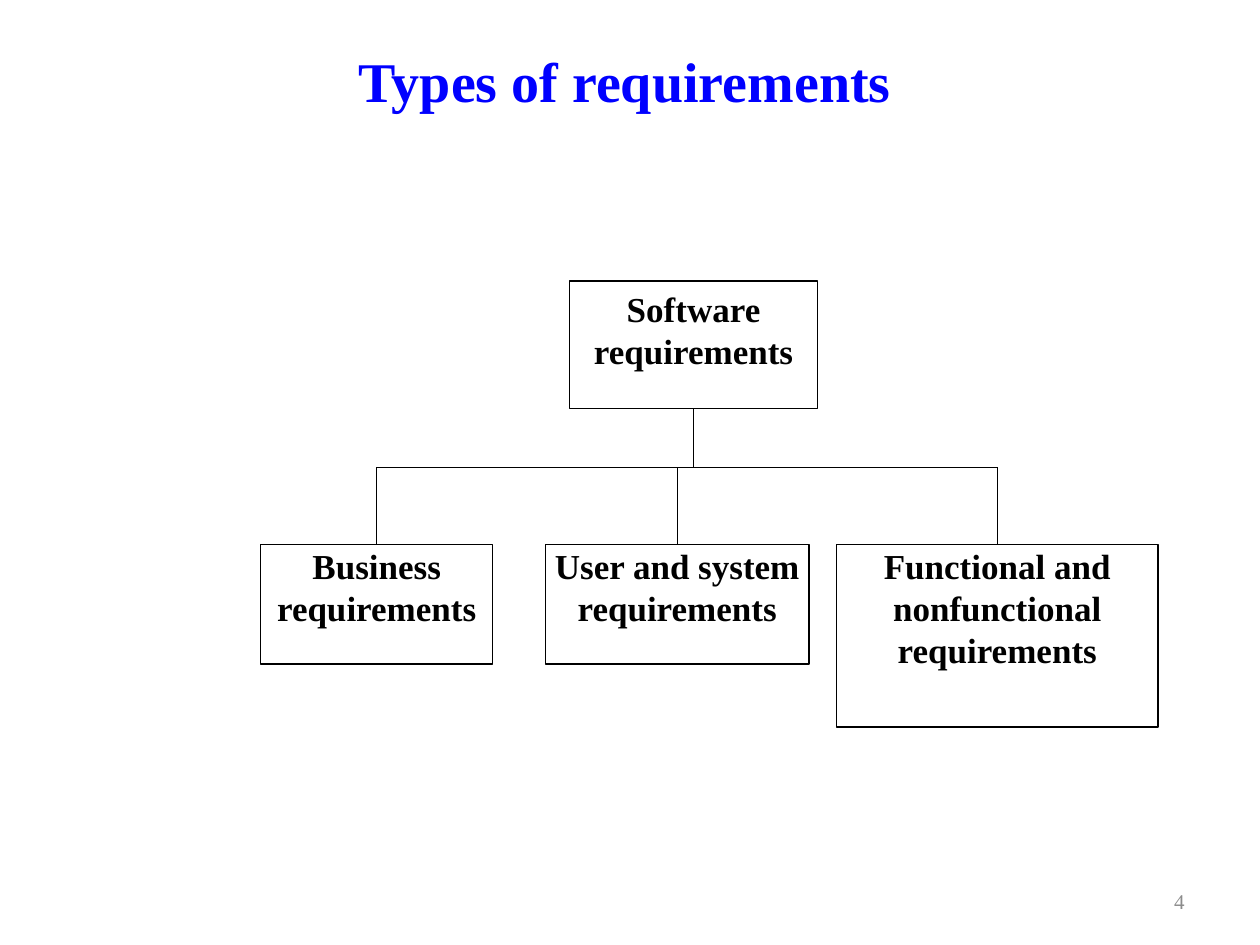
from dataclasses import dataclass

import pptx
import pptx.dml.color
import pptx.enum.shapes
import pptx.enum.text
import pptx.oxml.ns
import pptx.util
from lxml import etree

Inches = pptx.util.Inches
Align = pptx.enum.text.PP_ALIGN
Anchor = pptx.enum.text.MSO_ANCHOR
BLACK = "000000"
WHITE = "FFFFFF"


@dataclass(frozen=True)
class Node:
    text: str
    left: float
    top: float
    width: float
    height: float
    inset: tuple[float, float] = (0, 0)

    @property
    def center(self) -> float:
        return self.left + self.width / 2

    @property
    def bottom(self) -> float:
        return self.top + self.height


def color(value: str) -> pptx.dml.color.RGBColor:
    return pptx.dml.color.RGBColor.from_string(value)


def write(box, text: str, *, size: float = 20, fill: str = BLACK, bold: bool = True,
          align=Align.CENTER, anchor=Anchor.TOP,
          inset: tuple[float, float] = (0.1, 0.05)) -> None:
    frame = box.text_frame
    frame.word_wrap = True
    frame.vertical_anchor = anchor
    frame.margin_left = frame.margin_right = Inches(inset[0])
    frame.margin_top = frame.margin_bottom = Inches(inset[1])
    for index, line in enumerate(text.split("\n")):
        para = frame.paragraphs[0] if index == 0 else frame.add_paragraph()
        para.alignment = align
        span = para.add_run()
        span.text = line
        span.font.name = "Times New Roman"
        span.font.size = pptx.util.Pt(size)
        span.font.bold = bold
        span.font.color.rgb = color(fill)


def outline(shape) -> None:
    shape.line.color.rgb = color(BLACK)
    shape.line.width = pptx.util.Pt(0.75)


def draw_node(page, node: Node) -> None:
    box = page.shapes.add_shape(
        pptx.enum.shapes.MSO_SHAPE.RECTANGLE,
        Inches(node.left), Inches(node.top), Inches(node.width), Inches(node.height))
    box.shadow.inherit = False
    box.fill.solid()
    box.fill.fore_color.rgb = color(WHITE)
    outline(box)
    write(box, node.text, inset=node.inset)


def draw_line(page, x1: float, y1: float, x2: float, y2: float) -> None:
    line = page.shapes.add_connector(
        pptx.enum.shapes.MSO_CONNECTOR.STRAIGHT,
        Inches(x1), Inches(y1), Inches(x2), Inches(y2))
    outline(line)
    etree.SubElement(line._element.spPr, pptx.oxml.ns.qn("a:effectLst"))


deck = pptx.Presentation()
deck.slide_width = Inches(10)
deck.slide_height = Inches(7.5)
page = deck.slides.add_slide(deck.slide_layouts[6])

title = page.shapes.add_textbox(Inches(1.96), Inches(0.33), Inches(6), Inches(0.62))
write(title, "Types of requirements", size=32, fill="0000FF", anchor=Anchor.BOTTOM)

root = Node("Software requirements", 4.52, 2.23, 1.97, 1.01, (0.1, 0.05))
children = [
    Node("Business\nrequirements", 2.07, 4.32, 1.84, 0.95),
    Node("User and system requirements", 4.33, 4.32, 2.09, 0.95),
    Node("Functional and nonfunctional requirements", 6.64, 4.32, 2.55, 1.45),
]
branch_top = 3.71
for node in [root, *children]:
    draw_node(page, node)

draw_line(page, root.center, root.bottom, root.center, branch_top)
draw_line(page, children[0].center, branch_top, children[-1].center, branch_top)
for child in children:
    draw_line(page, child.center, branch_top, child.center, child.top)

number = page.shapes.add_textbox(Inches(7.17), Inches(6.95), Inches(2.33), Inches(0.4))
write(number, "4", size=12, fill="8C8C8C", bold=False, align=Align.RIGHT,
      anchor=Anchor.MIDDLE)

deck.save("out.pptx")
